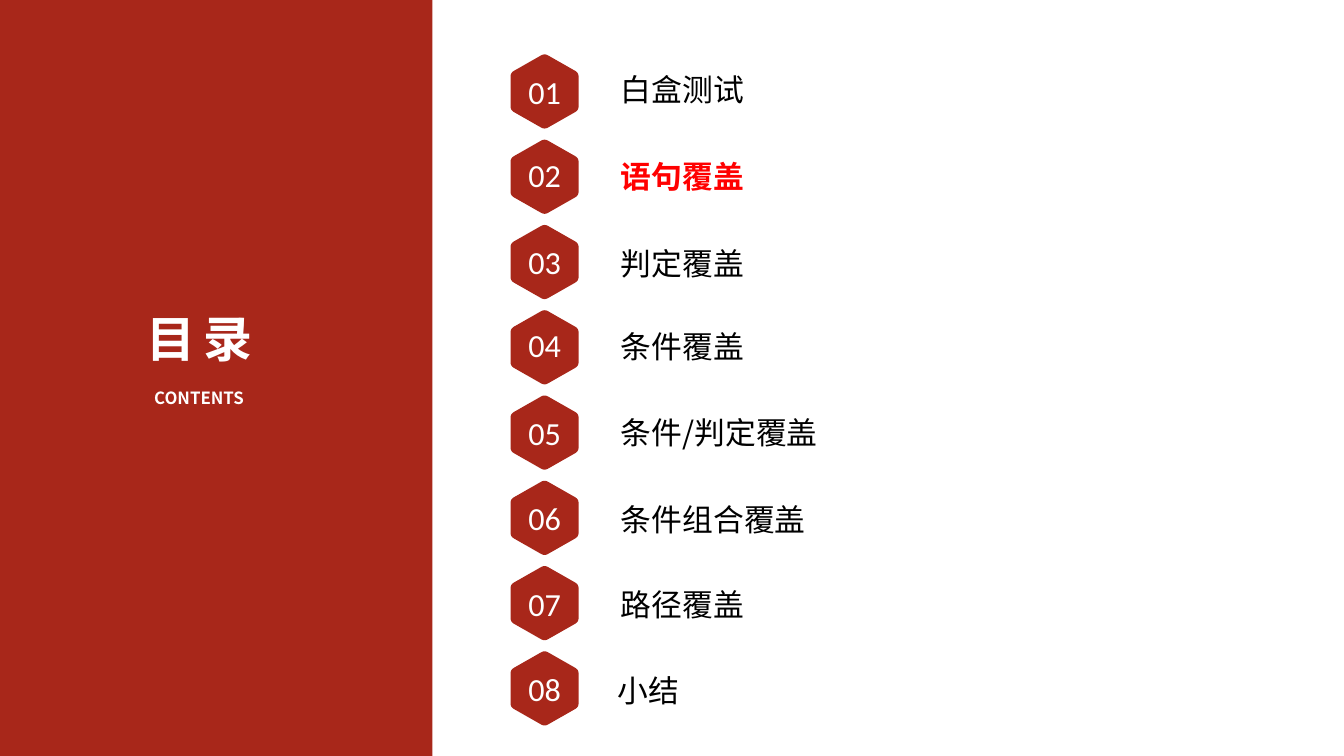
"""Build a contents slide with a title panel and eight numbered hexagon entries."""
from collections import namedtuple
from dataclasses import dataclass

from lxml.etree import SubElement
from pptx import Presentation
from pptx.dml.color import RGBColor
from pptx.enum.shapes import MSO_SHAPE
from pptx.enum.text import MSO_ANCHOR, PP_ALIGN
from pptx.oxml.ns import qn
from pptx.util import Inches, Pt

Entry = namedtuple("Entry", "label label_shift number_shift indent active", defaults=(0, 0, 0, False))

ENTRIES = [
    Entry("白盒测试", label_shift=-0.5),
    Entry("语句覆盖", label_shift=-0.31, number_shift=-0.28, active=True),
    Entry("判定覆盖"),
    Entry("条件覆盖", label_shift=-0.27, number_shift=-0.3),
    Entry("条件/判定覆盖", label_shift=-0.29),
    Entry("条件组合覆盖"),
    Entry("路径覆盖"),
    Entry("小结", indent=-0.22),
]
HEADINGS = [
    ("CONTENTS", "subtitle_size", (7.01, 50.93, 15.6, 6.6), 0),
    ("目录", "title_size", (4.2, 40.53, 21.3, 19), 11.7),
]


@dataclass(frozen=True)
class Theme:
    brick: RGBColor = RGBColor(0xA8, 0x27, 0x1A)
    white: RGBColor = RGBColor(0xFF, 0xFF, 0xFF)
    black: RGBColor = RGBColor(0x00, 0x00, 0x00)
    highlight: RGBColor = RGBColor(0xFF, 0x00, 0x00)
    text_font: str = "Noto Sans CJK SC"
    number_font: str = "Calibri"
    title_size: float = 70
    subtitle_size: float = 24
    label_size: float = 44
    number_size: float = 46


THEME = Theme()
WIDTH, HEIGHT = Inches(26.67), Inches(15)
COL, ROW = WIDTH / 100, HEIGHT / 100
PANEL_COLS = 32.17
BADGE_X, FIRST_Y, PITCH = 40.52, 12.1, 11.28
HEX_HALF, HEX_SHOULDER, HEX_PEAK = 2.53, 2.47, 5.03
LABEL_X, LABEL_W, LABEL_H = 46.01, 22.91, 5.2
NUMBER_W, NUMBER_H = 6.53, 7
CORNER_SHARE, CORNER_STEPS = 0.1, 6


def grid(left, top, width, height):
    return round(left * COL), round(top * ROW), round(width * COL), round(height * ROW)


def paint(shape, color):
    shape.fill.solid()
    shape.fill.fore_color.rgb = color
    shape.line.fill.background()
    shape.shadow.inherit = False


def add_text(shapes, text, cells, size, color, font=THEME.text_font, bold=False,
             align=PP_ALIGN.LEFT, anchor=MSO_ANCHOR.TOP, spacing=0):
    frame = shapes.add_textbox(*grid(*cells)).text_frame
    frame.word_wrap = True
    frame.vertical_anchor = anchor
    frame.margin_left = frame.margin_right = frame.margin_top = frame.margin_bottom = Inches(0.05)
    paragraph = frame.paragraphs[0]
    paragraph.alignment = align
    run = paragraph.add_run()
    run.text = text
    run.font.size, run.font.bold, run.font.name = Pt(size), bold, font
    run.font.color.rgb = color
    properties = run.font._element
    SubElement(properties, qn("a:ea")).set("typeface", font)
    if spacing:
        properties.set("spc", str(round(spacing * 100)))


def toward(start, end, share):
    return tuple(a + (b - a) * share for a, b in zip(start, end))


def rounded_outline(corners):
    points = []
    for index, corner in enumerate(corners):
        enter = toward(corner, corners[index - 1], CORNER_SHARE)
        leave = toward(corner, corners[(index + 1) % len(corners)], CORNER_SHARE)
        for step in range(CORNER_STEPS + 1):
            share = step / CORNER_STEPS
            points.append(toward(toward(enter, corner, share), toward(corner, leave, share), share))
    return points


def add_hexagon(shapes, center_y):
    offsets = [(0, -HEX_PEAK), (HEX_HALF, -HEX_SHOULDER), (HEX_HALF, HEX_SHOULDER),
               (0, HEX_PEAK), (-HEX_HALF, HEX_SHOULDER), (-HEX_HALF, -HEX_SHOULDER)]
    corners = [((BADGE_X + dx) * COL, (center_y + dy) * ROW) for dx, dy in offsets]
    start, *rest = rounded_outline(corners)
    builder = shapes.build_freeform(*start)
    builder.add_line_segments(rest, close=True)
    paint(builder.convert_to_shape(), THEME.brick)


def add_entry(slide, index, entry):
    shapes = slide.shapes.add_group_shape().shapes
    center_y = FIRST_Y + index * PITCH
    add_hexagon(shapes, center_y)
    add_text(shapes, f"{index + 1:02}",
             (BADGE_X - NUMBER_W / 2, center_y - NUMBER_H / 2 + entry.number_shift, NUMBER_W, NUMBER_H),
             THEME.number_size, THEME.white, THEME.number_font,
             align=PP_ALIGN.CENTER, anchor=MSO_ANCHOR.MIDDLE)
    add_text(shapes, entry.label,
             (LABEL_X + entry.indent, center_y - LABEL_H / 2 + entry.label_shift, LABEL_W, LABEL_H),
             THEME.label_size, THEME.highlight if entry.active else THEME.black, bold=entry.active)


def main():
    deck = Presentation()
    deck.slide_width, deck.slide_height = WIDTH, HEIGHT
    slide = deck.slides.add_slide(deck.slide_layouts[6])
    panel = slide.shapes.add_shape(MSO_SHAPE.RECTANGLE, *grid(0, 0, PANEL_COLS, 100))
    paint(panel, THEME.brick)
    headings = slide.shapes.add_group_shape().shapes
    for text, size, cells, spacing in HEADINGS:
        add_text(headings, text, cells, getattr(THEME, size), THEME.white,
                 bold=True, align=PP_ALIGN.CENTER, spacing=spacing)
    for index, entry in enumerate(ENTRIES):
        add_entry(slide, index, entry)
    deck.save("out.pptx")


if __name__ == "__main__":
    main()
